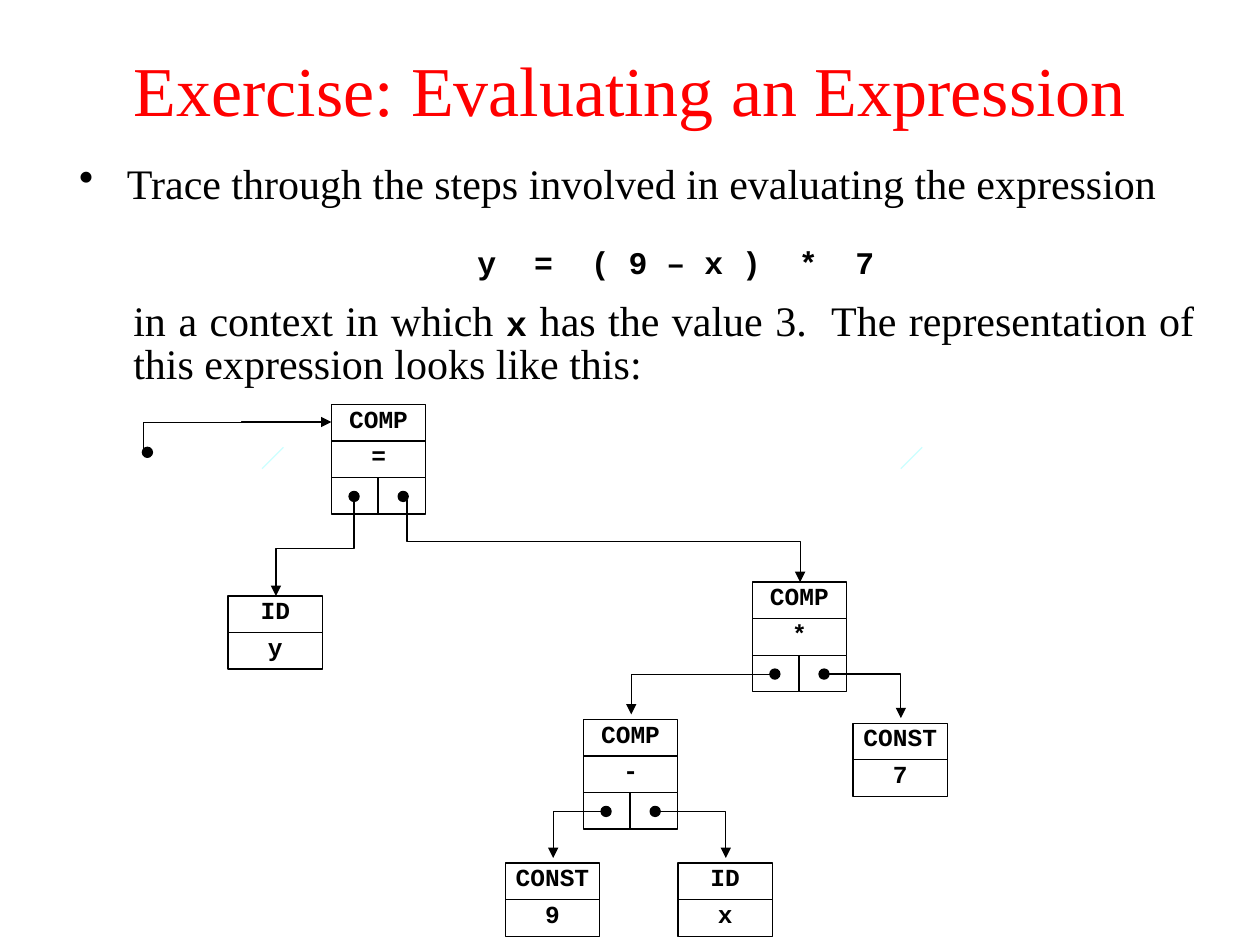
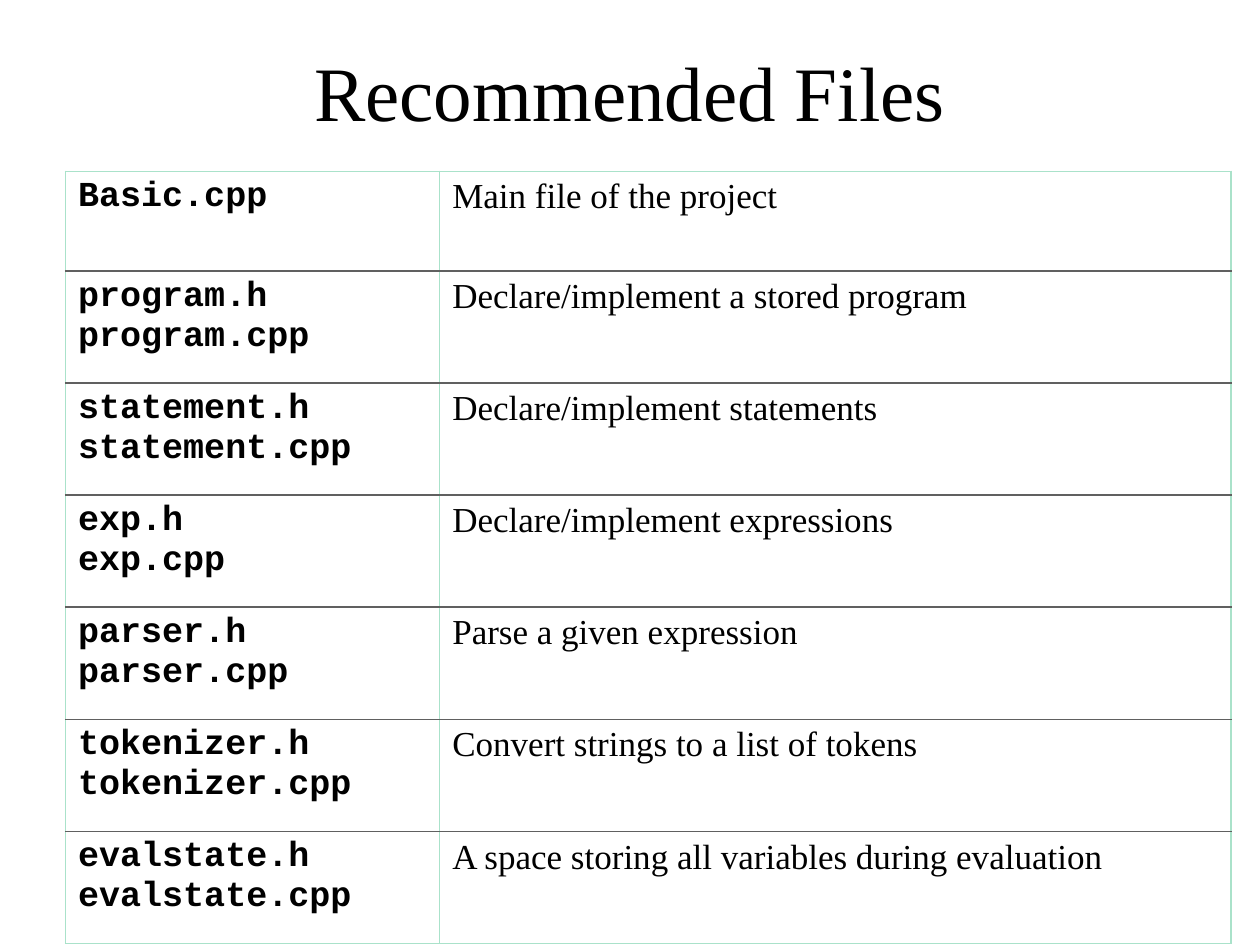
from dataclasses import dataclass
from typing import NamedTuple, Optional

from lxml.etree import SubElement
from pptx import Presentation
from pptx.dml.color import RGBColor
from pptx.enum.shapes import MSO_CONNECTOR, MSO_SHAPE
from pptx.enum.text import MSO_ANCHOR, PP_ALIGN
from pptx.oxml.ns import qn
from pptx.util import Pt

SCALE = 9144  # EMU in one px, 100 px to the inch


class Face(NamedTuple):
    name: str
    size: int
    bold: bool = False
    color: str = "000000"


@dataclass(frozen=True)
class Theme:
    ink: str = "000000"
    paper: str = "FFFFFF"
    pale: str = "CCFFFF"
    mint: str = "AAE2CA"
    grey: str = "606060"
    thin: float = 0.75
    rule: float = 1
    alert: Face = Face("Times New Roman", 40, color="FF0000")
    title: Face = Face("Times New Roman", 44)
    body: Face = Face("Times New Roman", 24)
    note: Face = Face("Times New Roman", 20)
    code: Face = Face("Courier New", 20, True)
    math: Face = Face("Courier New", 18, True)
    label: Face = Face("Courier New", 14, True)


THEME = Theme()


class Box(NamedTuple):
    x: int
    y: int
    w: int
    h: int


class Point(NamedTuple):
    x: int
    y: int


class Turn(NamedTuple):
    """How a preset elbow is turned to take a given route."""
    shape: str
    angle: int = 0
    flips: str = ""
    bends: tuple = ()


class Node(NamedTuple):
    x: int
    y: int
    kind: str
    value: str
    left: Optional[str] = None
    right: Optional[str] = None
    drop: bool = False


CELL = Point(75, 29)
HALF = 37
DOT = 8
GAP = 4
TURNS = {
    "side left": Turn("bentConnector2", 180, "V"),
    "side right": Turn("bentConnector2"),
    "drop left": Turn("bentConnector3", 90, "", (50000,)),
    "drop right": Turn("bentConnector3", 270, "H", (50000,)),
    "entry": Turn("bentConnector4", 90, "HV", (97600, 52300)),
}
PORTS = {
    "side left": Point(14, 73),
    "side right": Point(61, 73),
    "drop left": Point(18, 77),
    "drop right": Point(60, 76),
}
TREE = {
    "set": Node(263, 321, "COMP", "=", "y", "times", True),
    "y": Node(181, 473, "ID", "y"),
    "times": Node(597, 462, "COMP", "*", "minus", "seven"),
    "minus": Node(463, 571, "COMP", "-", "nine", "x"),
    "seven": Node(677, 574, "CONST", "7"),
    "nine": Node(401, 685, "CONST", "9"),
    "x": Node(538, 685, "ID", "x"),
}
FILES = [
    ("Basic.cpp", "Main file of the project"),
    ("program.h\nprogram.cpp", "Declare/implement a stored program"),
    ("statement.h\nstatement.cpp", "Declare/implement statements"),
    ("exp.h\nexp.cpp", "Declare/implement expressions"),
    ("parser.h\nparser.cpp", "Parse a given expression"),
    ("tokenizer.h\ntokenizer.cpp", "Convert strings to a list of tokens"),
    ("evalstate.h\nevalstate.cpp",
     "A space storing all variables during evaluation"),
]


def emu(*sizes: float) -> list[int]:
    return [round(size * SCALE) for size in sizes]


def style(item, form: dict) -> None:
    for key, value in form.items():
        setattr(item, key, value)


def dress(run, face: Face) -> None:
    style(run.font, {"name": face.name, "size": Pt(face.size),
                     "bold": face.bold})
    run.font.color.rgb = RGBColor.from_string(face.color)


def write(frame, parts: list[tuple[str, Face]], **form):
    """Fill the first paragraph with runs and return it."""
    para = frame.paragraphs[0]
    style(para, form)
    for text, face in parts:
        run = para.add_run()
        run.text = text
        dress(run, face)
    return para


def add_text(slide, box: Box, parts: list[tuple[str, Face]],
             anchor=MSO_ANCHOR.TOP, **form):
    frame = slide.shapes.add_textbox(*emu(*box)).text_frame
    style(frame, {"word_wrap": True, "vertical_anchor": anchor})
    return write(frame, parts, **form)


def add_title(slide, box: Box, text: str, face: Face) -> None:
    add_text(slide, box, [(text, face)], MSO_ANCHOR.MIDDLE,
             alignment=PP_ALIGN.CENTER)


def indent(para, left: int, first: int, mark: str = "") -> None:
    props = para._p.get_or_add_pPr()
    for key, size in (("marL", left), ("indent", first)):
        props.set(key, str(size * SCALE))
    if mark:
        SubElement(props, qn("a:buChar"), char=mark)


def add_shape(slide, kind, box: Box, fill: str):
    shape = slide.shapes.add_shape(kind, *emu(*box))
    shape.shadow.inherit = False
    shape.fill.solid()
    shape.fill.fore_color.rgb = RGBColor.from_string(fill)
    shape.line.color.rgb = RGBColor.from_string(THEME.ink)
    shape.line.width = Pt(THEME.thin)
    return shape


def add_cell(slide, box: Box, text: str = "") -> None:
    shape = add_shape(slide, MSO_SHAPE.RECTANGLE, box, THEME.paper)
    if text:
        side, top = emu(3, 2)
        style(shape.text_frame, {
            "margin_left": side, "margin_right": side, "margin_top": top,
            "margin_bottom": 0, "vertical_anchor": MSO_ANCHOR.TOP})
        write(shape.text_frame, [(text, THEME.label)],
              alignment=PP_ALIGN.CENTER, line_spacing=0.9)


def add_dot(slide, x: int, y: int) -> None:
    add_shape(slide, MSO_SHAPE.OVAL, Box(x, y, DOT, DOT), THEME.ink)


def add_line(slide, kind, start: Point, end: Point, color: str):
    line = slide.shapes.add_connector(kind, *emu(*start, *end))
    line.line.color.rgb = RGBColor.from_string(color)
    line.line.width = Pt(THEME.thin)
    SubElement(line._element.spPr, qn("a:effectLst"))
    return line


def add_elbow(slide, start: Point, end: Point, turn: Turn) -> None:
    """Draw a bent arrow; a quarter turn swaps its width and height."""
    wide, high = abs(end.x - start.x), abs(end.y - start.y)
    if turn.angle % 180:
        wide, high = high, wide
    left = (start.x + end.x - wide) / 2
    top = (start.y + end.y - high) / 2
    line = add_line(slide, MSO_CONNECTOR.ELBOW, Point(left, top),
                    Point(left + wide, top + high), THEME.ink)
    props = line._element.spPr
    frame = props.find(qn("a:xfrm"))
    frame.set("rot", str(turn.angle * 60000))
    for axis in turn.flips:
        frame.set(f"flip{axis}", "1")
    geom = props.find(qn("a:prstGeom"))
    geom.set("prst", turn.shape)
    for rank, bend in enumerate(turn.bends, 1):
        SubElement(geom.find(qn("a:avLst")), qn("a:gd"),
                   name=f"adj{rank}", fmla=f"val {bend}")
    SubElement(props.find(qn("a:ln")), qn("a:tailEnd"), type="triangle")


def add_node(slide, node: Node) -> None:
    for row, text in enumerate((node.kind, node.value)):
        add_cell(slide, Box(node.x, node.y + row * CELL.y, *CELL), text)
    if node.left:
        low = node.y + 2 * CELL.y
        add_cell(slide, Box(node.x, low, HALF, CELL.y))
        add_cell(slide, Box(node.x + HALF, low, CELL.x - HALF, CELL.y))
        for shift in (14, 53):
            add_dot(slide, node.x + shift, node.y + 69)


def add_links(slide, node: Node) -> None:
    for side, name in (("left", node.left), ("right", node.right)):
        if name:
            route = f"{'drop' if node.drop else 'side'} {side}"
            port, child = PORTS[route], TREE[name]
            start = Point(node.x + port.x, node.y + port.y)
            end = Point(child.x + CELL.x // 2 + 1,
                        child.y - (0 if node.drop else GAP))
            add_elbow(slide, start, end, TURNS[route])


def draw_tree(slide) -> None:
    add_title(slide, Box(0, 8, 1000, 125),
              "Exercise: Evaluating an Expression", THEME.alert)
    block = {"alignment": PP_ALIGN.JUSTIFY, "line_spacing": 0.85}
    lead = add_text(slide, Box(53, 126, 900, 65), [
        ("Trace through the steps involved in evaluating the expression",
         THEME.body)], **block)
    indent(lead, 38, -38, "•")
    add_text(slide, Box(323, 188, 427, 40),
             [("y  =  ( 9 – x )  *  7", THEME.math)],
             alignment=PP_ALIGN.CENTER)
    rest = add_text(slide, Box(58, 235, 900, 65), [
        ("in a context in which ", THEME.body), ("x", THEME.code),
        (" has the value 3.  The representation of this expression "
         "looks like this:", THEME.body)], **block)
    indent(rest, 38, 0)
    for x in (208, 715):
        add_line(slide, MSO_CONNECTOR.STRAIGHT, Point(x, 372),
                 Point(x + 17, 355), THEME.pale)
    add_elbow(slide, Point(114, 362), Point(263, 335), TURNS["entry"])
    add_dot(slide, 113, 355)
    for node in TREE.values():
        add_node(slide, node)
    for node in TREE.values():
        add_links(slide, node)


def edge(cell, sides: dict[str, str]) -> None:
    props = cell._tc.get_or_add_tcPr()
    for side, color in sides.items():
        line = SubElement(props, qn(f"a:ln{side}"), w=str(Pt(THEME.rule)))
        fill = SubElement(line, qn("a:solidFill"))
        SubElement(fill, qn("a:srgbClr"), val=color)


def draw_files(slide) -> None:
    add_title(slide, Box(75, 30, 850, 84), "Recommended Files", THEME.title)
    table = slide.shapes.add_table(
        len(FILES), 2, *emu(52, 136, 925, 613)).table
    style(table, {"first_row": False, "horz_banding": False})
    for col, wide in zip(table.columns, emu(297, 628)):
        col.width = wide
    last = len(FILES) - 1
    for rank, (row, texts) in enumerate(zip(table.rows, FILES)):
        row.height = emu(89 if rank else 79)[0]
        sides = {"L": THEME.mint, "R": THEME.mint,
                 "T": THEME.grey if rank else THEME.mint,
                 "B": THEME.grey if rank < last else THEME.mint}
        for cell, text, face in zip(row.cells, texts,
                                    (THEME.code, THEME.note)):
            edge(cell, sides)
            cell.fill.background()
            para = cell.text_frame.paragraphs[0]
            para.text = text
            for run in para.runs:
                dress(run, face)


def main() -> None:
    deck = Presentation()
    deck.slide_width, deck.slide_height = emu(1000, 750)
    for draw in (draw_tree, draw_files):
        draw(deck.slides.add_slide(deck.slide_layouts[6]))
    deck.save("out.pptx")


if __name__ == "__main__":
    main()
